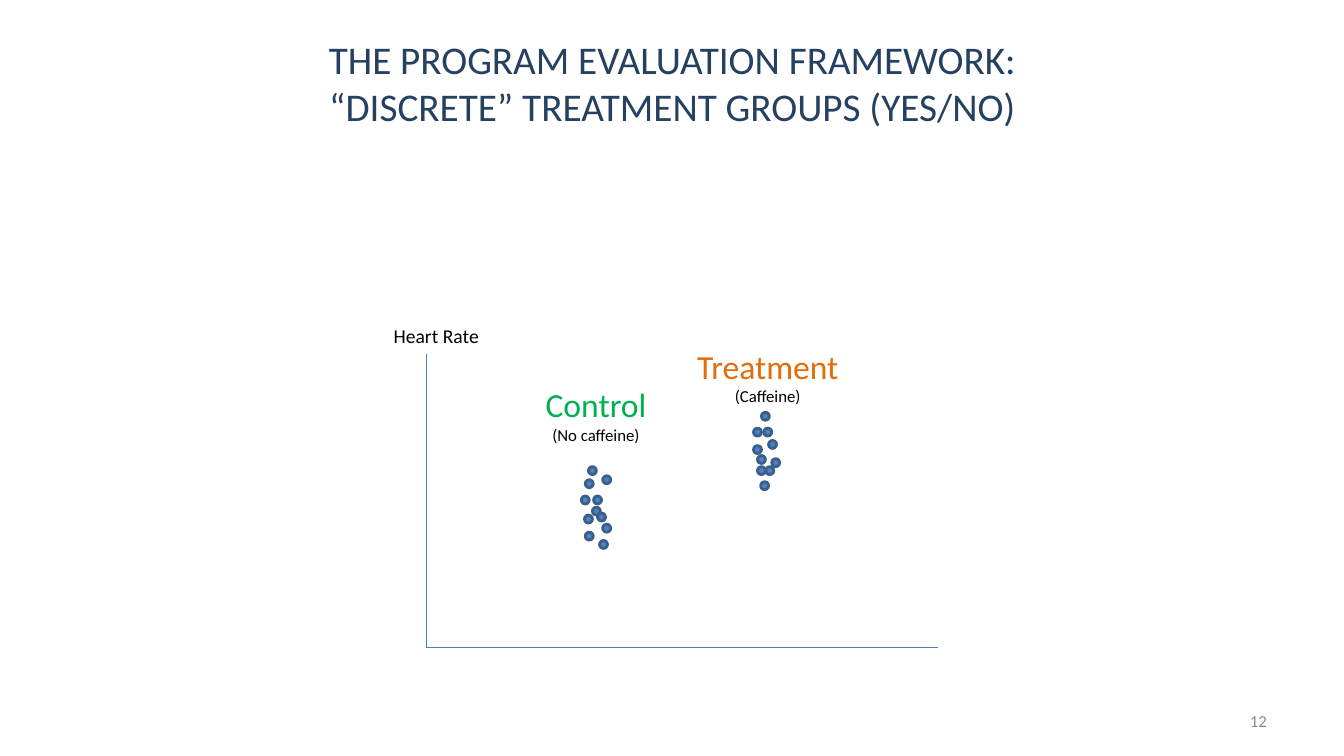
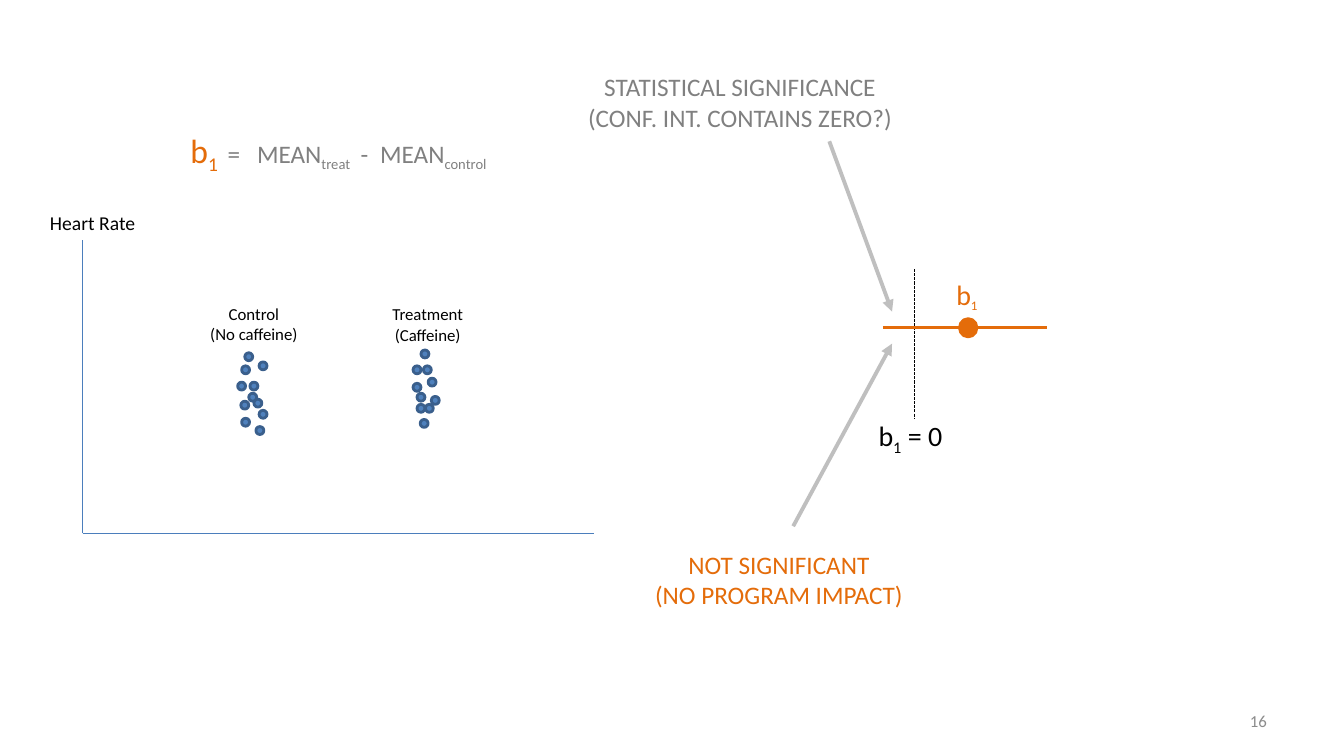
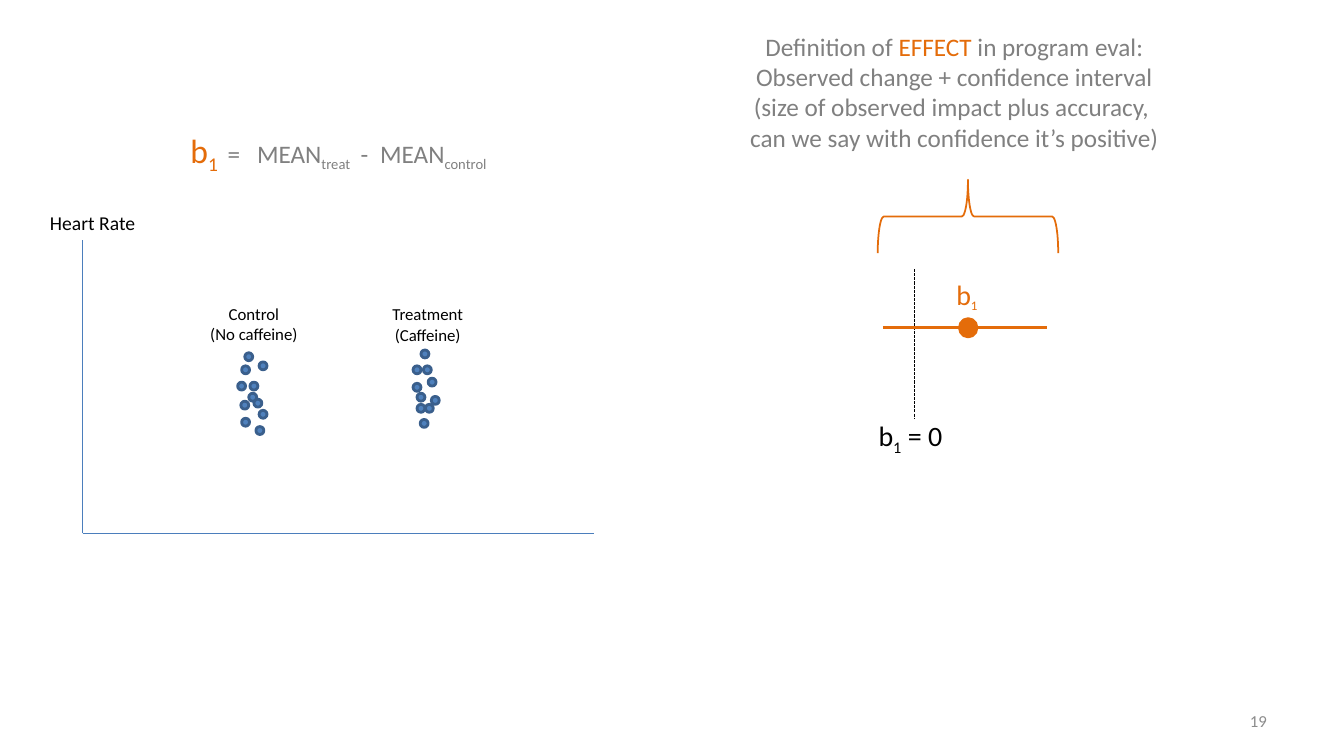
from copy import deepcopy

from lxml import etree
from pptx import Presentation
from pptx.dml.color import RGBColor
from pptx.enum.dml import MSO_LINE
from pptx.enum.shapes import MSO_CONNECTOR, MSO_SHAPE
from pptx.enum.text import MSO_ANCHOR, PP_ALIGN
from pptx.oxml.ns import qn
from pptx.util import Cm, Pt

LEFT, CENTER, RIGHT = PP_ALIGN.LEFT, PP_ALIGN.CENTER, PP_ALIGN.RIGHT
TOP, MIDDLE = MSO_ANCHOR.TOP, MSO_ANCHOR.MIDDLE
STRAIGHT = MSO_CONNECTOR.STRAIGHT
OVAL, BRACE = MSO_SHAPE.OVAL, MSO_SHAPE.RIGHT_BRACE
DASH = MSO_LINE.SQUARE_DOT


class Theme:
    font = "Calibri"
    navy = RGBColor.from_string("254061")
    black = RGBColor.from_string("000000")
    grey = RGBColor.from_string("808080")
    page_grey = RGBColor.from_string("8C8C8C")
    arrow_grey = RGBColor.from_string("BFBFBF")
    orange = RGBColor.from_string("E46C0A")
    green = RGBColor.from_string("00B050")
    axis_blue = RGBColor.from_string("4B7EBC")
    dot_blue = RGBColor.from_string("4F81BD")
    dot_edge = RGBColor.from_string("3A5F8C")
    title, large, symbol, body, axis, index, small = 28, 24, 20, 18, 14, 16, 12


def add_text(slide, box, paragraphs, align=CENTER, anchor=TOP, tabs=()):
    """Each paragraph is a list of runs: (text, size, colour[, baseline])."""
    frame = slide.shapes.add_textbox(*map(Cm, box)).text_frame
    for name, value in {"word_wrap": True, "vertical_anchor": anchor}.items():
        setattr(frame, name, value)
    for number, runs in enumerate(paragraphs):
        paragraph = frame.add_paragraph() if number else frame.paragraphs[0]
        paragraph.alignment = align
        if tabs:
            tab_list = etree.SubElement(paragraph._p.get_or_add_pPr(), qn("a:tabLst"))
            for stop in tabs:
                etree.SubElement(tab_list, qn("a:tab"), pos=str(Cm(stop)), algn="l")
        for text, size, color, *baseline in runs:
            for line in text.splitlines(keepends=True):
                run = paragraph.add_run()
                run.text = line.rstrip("\n")
                for name, value in {"size": Pt(size), "name": Theme.font}.items():
                    setattr(run.font, name, value)
                run.font.color.rgb = color
                if baseline:
                    run._r.rPr.set("baseline", str(baseline[0]))
                if line.endswith("\n"):
                    paragraph.add_line_break()
                    paragraph._p[-1].append(deepcopy(run._r.rPr))


def add_line(slide, start, end, color, width, dash=None, arrow=False):
    connector = slide.shapes.add_connector(STRAIGHT, *map(Cm, (*start, *end)))
    connector.line.color.rgb = color
    for name, value in {"width": Pt(width), "dash_style": dash}.items():
        setattr(connector.line, name, value)
    if arrow:
        etree.SubElement(connector.line._get_or_add_ln(), qn("a:tailEnd"), type="triangle")
    etree.SubElement(connector._element.spPr, qn("a:effectLst"))


# Dot positions: right of and above the axis origin, in cm
CONTROL_DOTS = [(3.91, 3.81), (4.22, 3.81), (4.19, 3.53), (3.99, 3.33), (4.45, 3.1), (4.01, 2.9),
                (4.37, 2.69), (4.45, 4.32), (4.09, 4.55), (4.01, 4.22), (4.32, 3.38)]
TREATMENT_DOTS = [(8.33, 3.78), (8.33, 4.22), (8.71, 3.91), (8.79, 3.45), (8.43, 3.25),
                  (8.64, 3.25), (8.51, 2.87), (8.53, 4.62), (8.59, 4.22), (8.43, 3.53)]
DOT_SIZE = 0.2
LABEL_WIDTH = 4.2

# Group: name, dose, name colour, name size, label centre, label rise, dots, dot shift
DISCRETE_GROUPS = [
    ("Control", "(No caffeine)", Theme.green, Theme.large, 4.28, 6.76, CONTROL_DOTS, (0, 0)),
    ("Treatment", "(Caffeine)", Theme.orange, Theme.large, 8.61, 7.72, TREATMENT_DOTS, (-0.08, 1.3)),
]
SIMILAR_GROUPS = [
    ("Control", "(No caffeine)", Theme.black, Theme.small, 4.32, 5.92, CONTROL_DOTS, (0, 0)),
    ("Treatment", "(Caffeine)", Theme.black, Theme.small, 8.7, 5.9, TREATMENT_DOTS, (0, 0)),
]

prs = Presentation()
prs.slide_width, prs.slide_height = Cm(33.87), Cm(19.05)
slides = []

# Page number and heart rate plot on every slide
for page, origin, groups in [("12", (10.74, 16.31), DISCRETE_GROUPS),
                             ("16", (2.08, 13.44), SIMILAR_GROUPS),
                             ("19", (2.08, 13.44), SIMILAR_GROUPS)]:
    slide = prs.slides.add_slide(prs.slide_layouts[6])
    slides.append(slide)
    add_text(slide, (24.28, 17.65, 7.9, 1.02), [[(page, Theme.small, Theme.page_grey)]], RIGHT, MIDDLE)
    x0, y0 = origin
    for axis_end in [(x0 + 12.9, y0), (x0, y0 - 7.4)]:
        add_line(slide, origin, axis_end, Theme.axis_blue, 0.75)
    add_text(slide, (x0 - 1.07, y0 - 8.26, 3, 0.86), [[("Heart Rate", Theme.axis, Theme.black)]], LEFT)
    for name, dose, color, size, center, rise, dots, (shift, lift) in groups:
        for right, up in dots:
            dot = slide.shapes.add_shape(OVAL, Cm(x0 + right + shift), Cm(y0 - up - lift),
                                         Cm(DOT_SIZE), Cm(DOT_SIZE))
            dot.shadow.inherit = False
            dot.fill.solid()
            dot.fill.fore_color.rgb = Theme.dot_blue
            dot.line.color.rgb = Theme.dot_edge
            dot.line.width = Pt(2)
        add_text(slide, (x0 + center - LABEL_WIDTH / 2, y0 - rise, LABEL_WIDTH, 1.8),
                 [[(name + "\n", size, color), (dose, Theme.small, Theme.black)]])

discrete, significance, effect = slides

add_text(discrete, (1.7, 0.76, 30.48, 3.18),
         [[("THE PROGRAM EVALUATION FRAMEWORK:\n“DISCRETE” TREATMENT GROUPS (YES/NO)",
            Theme.title, Theme.navy)]])

# Slope formula and confidence interval on the last two slides
for slide in (significance, effect):
    add_text(slide, (4.55, 3.15, 8.6, 1.27),
             [[("b", Theme.large, Theme.orange), ("1", Theme.large, Theme.orange, -25000),
               ("\t=\tMEAN", Theme.body, Theme.grey), ("treat", Theme.body, Theme.grey, -25000),
               ("\t-\tMEAN", Theme.body, Theme.grey), ("control", Theme.body, Theme.grey, -25000)]],
             LEFT, tabs=(0.94, 1.68, 4.29, 4.78))
    add_line(slide, (23.04, 6.78), (23.04, 10.57), Theme.black, 0.75, DASH)
    add_text(slide, (21.89, 10.41, 2.5, 1.12),
             [[("b", Theme.symbol, Theme.black), ("1", Theme.symbol, Theme.black, -25000),
               (" = 0", Theme.symbol, Theme.black)]], LEFT)
    add_line(slide, (22.25, 8.26), (26.39, 8.26), Theme.orange, 2)
    add_text(slide, (23.85, 6.86, 1.3, 1.12),
             [[("b", Theme.symbol, Theme.orange), ("1", Theme.index, Theme.orange, -25000)]], LEFT)
    estimate = slide.shapes.add_shape(OVAL, Cm(24.18), Cm(8.03), Cm(0.44), Cm(0.46))
    estimate.shadow.inherit = False
    estimate.fill.solid()
    estimate.fill.fore_color.rgb = Theme.orange
    estimate.line.color.rgb = Theme.orange
    estimate.line.width = Pt(2)

# Significance test
add_text(significance, (14.25, 1.68, 8.8, 1.8),
         [[("STATISTICAL SIGNIFICANCE\n(CONF. INT. CONTAINS ZERO?)", Theme.body, Theme.grey)]])
add_text(significance, (16.08, 13.72, 7.1, 1.8),
         [[("NOT SIGNIFICANT", Theme.body, Theme.orange)],
          [("(NO PROGRAM IMPACT)", Theme.body, Theme.orange)]])
for start, end in [((20.9, 3.56), (22.48, 7.85)), ((19.99, 13.26), (22.48, 8.66))]:
    add_line(significance, start, end, Theme.arrow_grey, 2.75, arrow=True)

# Definition of effect
add_text(effect, (18.05, 0.66, 12, 3.33),
         [[("Definition of ", Theme.body, Theme.grey), ("EFFECT", Theme.body, Theme.orange),
           (" in program eval:", Theme.body, Theme.grey)],
          [("Observed change + confidence interval", Theme.body, Theme.grey)],
          [("(size of observed impact plus accuracy, \ncan we say with confidence it’s positive)",
            Theme.body, Theme.grey)]])
brace = effect.shapes.add_shape(BRACE, Cm(23.47), Cm(3.18), Cm(1.85), Cm(4.55))
brace.rotation = 270
brace.shadow.inherit = False
brace.fill.background()
brace.line.color.rgb = Theme.orange
brace.line.width = Pt(1.25)

prs.save("out.pptx")
